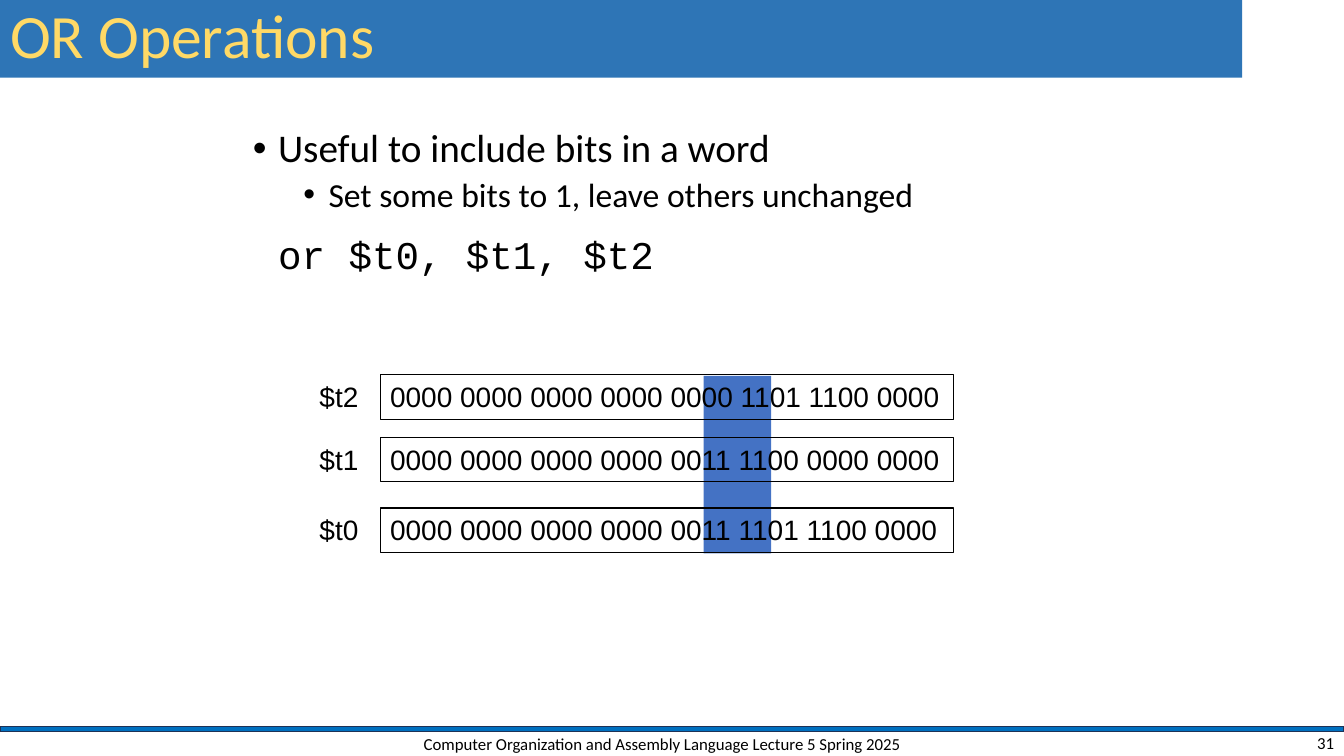
from dataclasses import dataclass

import pptx
import pptx.dml.color
import pptx.enum.shapes
import pptx.enum.text
import pptx.oxml
import pptx.oxml.ns
import pptx.shapes.autoshape
import pptx.slide
import pptx.text.text
import pptx.util

Inches = pptx.util.Inches
Pt = pptx.util.Pt
Align = pptx.enum.text.PP_ALIGN
Anchor = pptx.enum.text.MSO_ANCHOR
AutoSize = pptx.enum.text.MSO_AUTO_SIZE
Shape = pptx.shapes.autoshape.Shape
Slide = pptx.slide.Slide
Paragraph = pptx.text.text._Paragraph


@dataclass
class Register:
    name: str
    bits: str
    top: float


@dataclass
class BodyLine:
    text: str
    size: float
    font: str
    level: int
    margin: float
    bulleted: bool
    space_before: float
    space_after: float = 0


@dataclass
class FooterItem:
    text: str
    left: float
    width: float
    height: float
    alignment: Align


REGISTERS = [
    Register("$t2", "0000 0000 0000 0000 0000 1101 1100 0000", 3.72),
    Register("$t1", "0000 0000 0000 0000 0011 1100 0000 0000", 4.34),
    Register("$t0", "0000 0000 0000 0000 0011 1101 1100 0000", 5.04),
]
BODY_LINES = [
    BodyLine("Useful to include bits in a word", 28, "Calibri", 0, 0.25, True, 10),
    BodyLine("Set some bits to 1, leave others unchanged", 24, "Calibri", 1, 0.75, True, 5),
    BodyLine("or $t0, $t1, $t2", 28, "Courier New", 0, 0.25, False, 15, 8),
]
FOOTER_ITEMS = [
    FooterItem("Computer Organization and Assembly Language Lecture 5 Spring 2025",
               3.92, 5.3, 0.28, Align.CENTER),
    FooterItem("31", 10.33, 3, 0.25, Align.RIGHT),
]


def color(value: str) -> pptx.dml.color.RGBColor:
    return pptx.dml.color.RGBColor.from_string(value)


def write(paragraph: Paragraph, text: str, size: float, font: str,
          text_color: str = "000000", alignment: Align = Align.LEFT) -> None:
    paragraph.text = text
    paragraph.alignment = alignment
    for run in paragraph.runs:
        run.font.size = Pt(size)
        run.font.name = font
        run.font.color.rgb = color(text_color)


def add_rectangle(slide: Slide, left: float, top: float, width: float, height: float,
                  fill: str | None = None, line: str | None = None,
                  line_width: float = 0.75) -> Shape:
    shape = slide.shapes.add_shape(
        pptx.enum.shapes.MSO_SHAPE.RECTANGLE,
        Inches(left), Inches(top), Inches(width), Inches(height))
    shape.shadow.inherit = False
    if fill:
        shape.fill.solid()
        shape.fill.fore_color.rgb = color(fill)
    else:
        shape.fill.background()
    if line:
        shape.line.color.rgb = color(line)
        shape.line.width = Pt(line_width)
    else:
        shape.line.fill.background()
    return shape


def add_text_box(slide: Slide, left: float, top: float, width: float, height: float) -> Shape:
    return slide.shapes.add_textbox(Inches(left), Inches(top), Inches(width), Inches(height))


def format_title(slide: Slide) -> None:
    title = slide.shapes.title
    title.left, title.top = Inches(0), Inches(0)
    title.width, title.height = Inches(12.32), Inches(0.77)
    title.fill.solid()
    title.fill.fore_color.rgb = color("2E75B6")
    write(title.text_frame.paragraphs[0], "OR Operations", 44, "Calibri", "FFD966")
    title.text_frame.paragraphs[0].line_spacing = 0.9
    title.text_frame.vertical_anchor = Anchor.MIDDLE
    title.text_frame.auto_size = AutoSize.NONE


def indent(paragraph: Paragraph, margin: float, bulleted: bool) -> None:
    properties = paragraph._p.get_or_add_pPr()
    properties.set("marL", str(Inches(margin)))
    properties.set("indent", str(Inches(-0.25 if bulleted else 0)))
    if bulleted:
        namespace = pptx.oxml.ns.nsdecls("a")
        properties.append(pptx.oxml.parse_xml(
            f'<a:buFont {namespace} typeface="Arial"/>'))
        properties.append(pptx.oxml.parse_xml(f'<a:buChar {namespace} char="•"/>'))


def add_body(slide: Slide) -> None:
    frame = add_text_box(slide, 2.41, 1.23, 9.05, 2.27).text_frame
    frame.word_wrap = True
    for index, line in enumerate(BODY_LINES):
        paragraph = frame.add_paragraph() if index else frame.paragraphs[0]
        write(paragraph, line.text, line.size, line.font)
        paragraph.level = line.level
        paragraph.line_spacing = 0.9
        paragraph.space_before = Pt(line.space_before)
        paragraph.space_after = Pt(line.space_after)
        indent(paragraph, line.margin, line.bulleted)


def add_register(slide: Slide, register: Register) -> None:
    label = add_text_box(slide, 3.07, register.top, 0.59, 0.43)
    box = add_rectangle(slide, 3.77, register.top, 5.69, 0.44, line="000000")
    for shape, text in ((label, register.name), (box, register.bits)):
        frame = shape.text_frame
        write(frame.paragraphs[0], text, 20, "Arial")
        frame.word_wrap = False
        frame.auto_size = AutoSize.SHAPE_TO_FIT_TEXT
        frame.vertical_anchor = Anchor.TOP


def add_footer_item(slide: Slide, item: FooterItem) -> None:
    frame = add_text_box(slide, item.left, 7.24, item.width, item.height).text_frame
    frame.word_wrap = True
    frame.vertical_anchor = Anchor.MIDDLE
    write(frame.paragraphs[0], item.text, 12, "Calibri", alignment=item.alignment)


def main() -> None:
    presentation = pptx.Presentation()
    presentation.slide_width = Inches(13.33)
    presentation.slide_height = Inches(7.5)
    slide = presentation.slides.add_slide(
        presentation.slide_layouts.get_by_name("Title Only"))
    format_title(slide)
    add_rectangle(slide, 0, 7.21, 13.33, 0.05, "0070C0", "1E3256", 1)
    add_rectangle(slide, 6.98, 3.73, 0.67, 1.76, "4472C4")
    add_body(slide)
    for register in REGISTERS:
        add_register(slide, register)
    for item in FOOTER_ITEMS:
        add_footer_item(slide, item)
    presentation.save("out.pptx")


if __name__ == "__main__":
    main()
